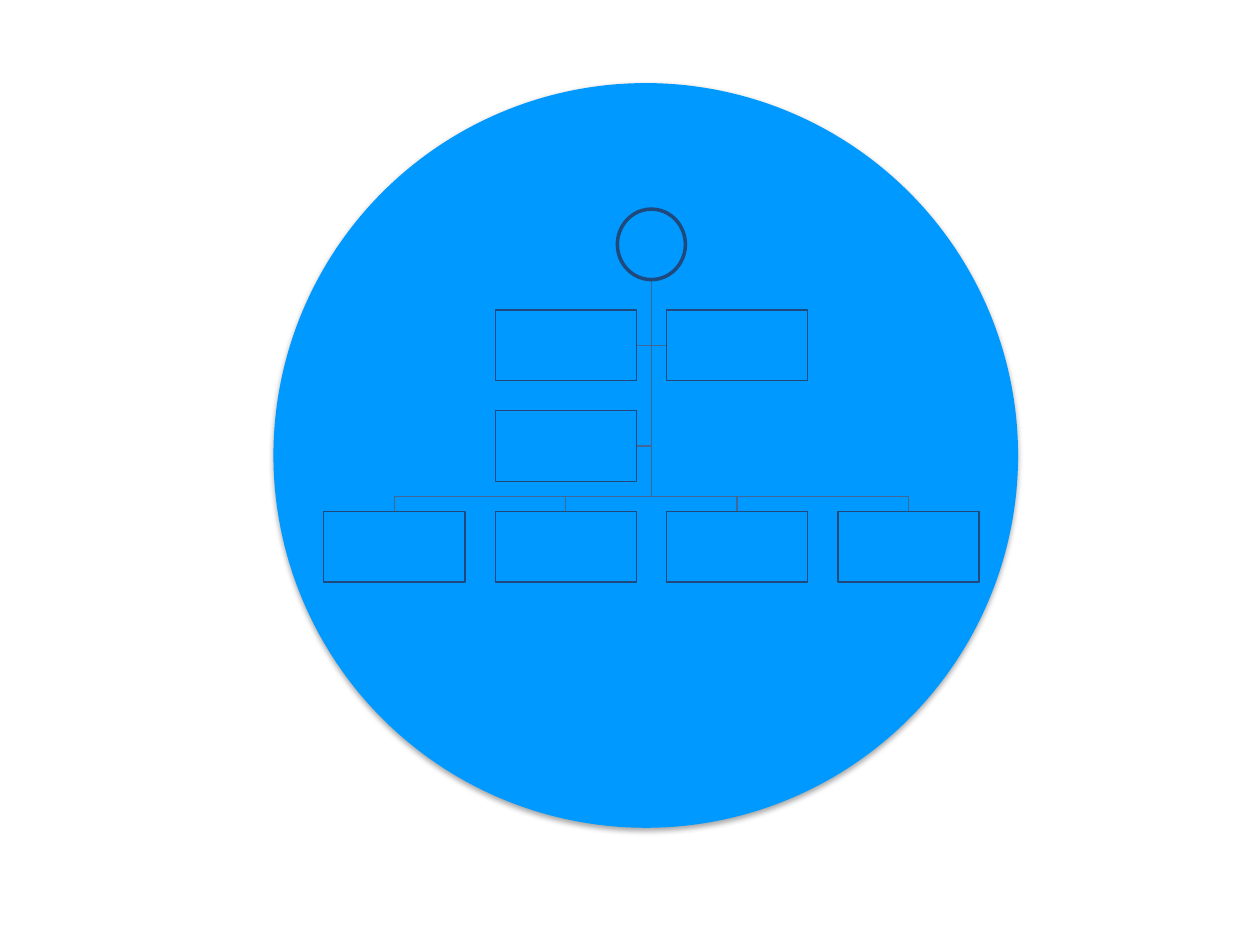
"""Build a slide with an empty organisation chart on a blue disc."""
from lxml.etree import SubElement
from pptx import Presentation
from pptx.dml.color import RGBColor
from pptx.enum.shapes import MSO_SHAPE
from pptx.oxml.ns import qn
from pptx.util import Inches, Pt

BLUE = RGBColor(0x00, 0x99, 0xFF)
NAVY = RGBColor(0x1F, 0x49, 0x7D)
STEEL = RGBColor(0x3F, 0x67, 0x97)

BOX_W, BOX_H = 1.12, 0.56
COLUMNS = [3.13 + 1.36 * i for i in range(4)]
ROWS = [2.46 + 0.8 * i for i in range(3)]
HUB_X, HUB_TOP, HUB_BOTTOM = 5.17, 1.66, 2.22
BUS_Y = 3.94


class OrgChart:
    def __init__(self, slide):
        self.slide = slide

    def shape(self, kind, x, y, w, h, fill=None, line=None, width=0.75):
        s = self.slide.shapes.add_shape(kind, Inches(x), Inches(y), Inches(w), Inches(h))
        return self.style(s, fill, line, width)

    def style(self, s, fill, line, width):
        s.shadow.inherit = False
        if fill is None:
            s.fill.background()
        else:
            s.fill.solid()
            s.fill.fore_color.rgb = fill
        if line is None:
            s.line.fill.background()
        else:
            s.line.color.rgb = line
            s.line.width = Pt(width)
        return s

    def disc(self, x, y, size):
        s = self.shape(MSO_SHAPE.OVAL, x, y, size, size, fill=BLUE)
        effects = s._element.spPr.find(qn("a:effectLst"))
        shadow = SubElement(effects, qn("a:outerShdw"), blurRad=str(Pt(3.1)),
                            dist=str(Pt(1.8)), dir="5400000", rotWithShape="0")
        color = SubElement(shadow, qn("a:srgbClr"), val="000000")
        SubElement(color, qn("a:alpha"), val="35000")

    def hub(self):
        self.shape(MSO_SHAPE.OVAL, HUB_X - 0.27, HUB_TOP, 0.54,
                   HUB_BOTTOM - HUB_TOP, line=NAVY, width=2)

    def box(self, center, top):
        self.shape(MSO_SHAPE.RECTANGLE, center - BOX_W / 2, top, BOX_W, BOX_H, line=NAVY)

    def branch(self, *points):
        start, *rest = [(Inches(x), Inches(y)) for x, y in points]
        builder = self.slide.shapes.build_freeform(*start)
        builder.add_line_segments(rest, close=False)
        self.style(builder.convert_to_shape(), None, STEEL, 0.75)

    def side_branch(self, center, top):
        edge = center + BOX_W / 2 * (1 if center < HUB_X else -1)
        y = top + BOX_H / 2
        self.branch((HUB_X, HUB_BOTTOM), (HUB_X, y), (edge, y))

    def lower_branch(self, center, top):
        self.branch((HUB_X, HUB_BOTTOM), (HUB_X, BUS_Y), (center, BUS_Y), (center, top))


def main():
    prs = Presentation()
    prs.slide_width, prs.slide_height = Inches(10), Inches(7.5)
    chart = OrgChart(prs.slides.add_slide(prs.slide_layouts[6]))

    assistants = [(COLUMNS[1], ROWS[0]), (COLUMNS[2], ROWS[0]), (COLUMNS[1], ROWS[1])]
    reports = [(x, ROWS[2]) for x in COLUMNS]

    chart.disc(2.17, 0.66, 5.91)
    for center, top in reversed(assistants):
        chart.side_branch(center, top)
    for center, top in reversed(reports):
        chart.lower_branch(center, top)
    chart.hub()
    for center, top in reports + assistants:
        chart.box(center, top)

    prs.save("out.pptx")


if __name__ == "__main__":
    main()
